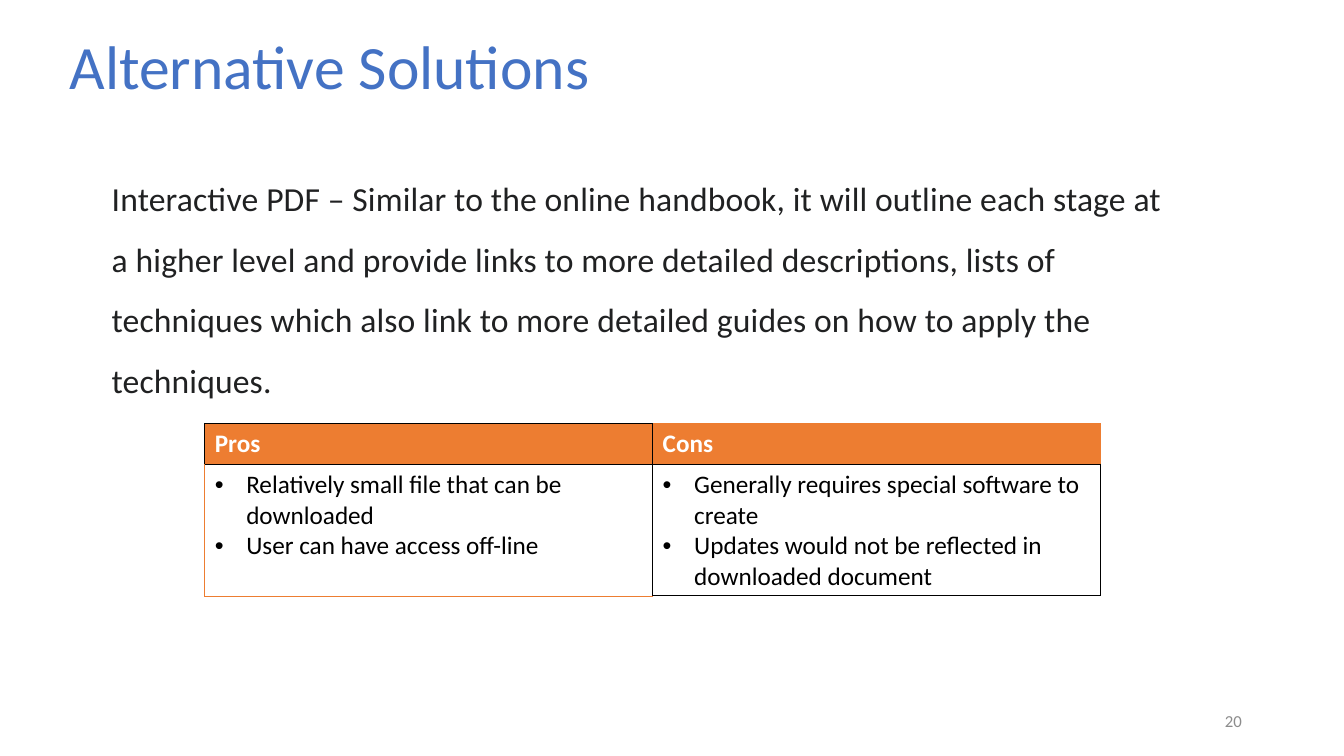
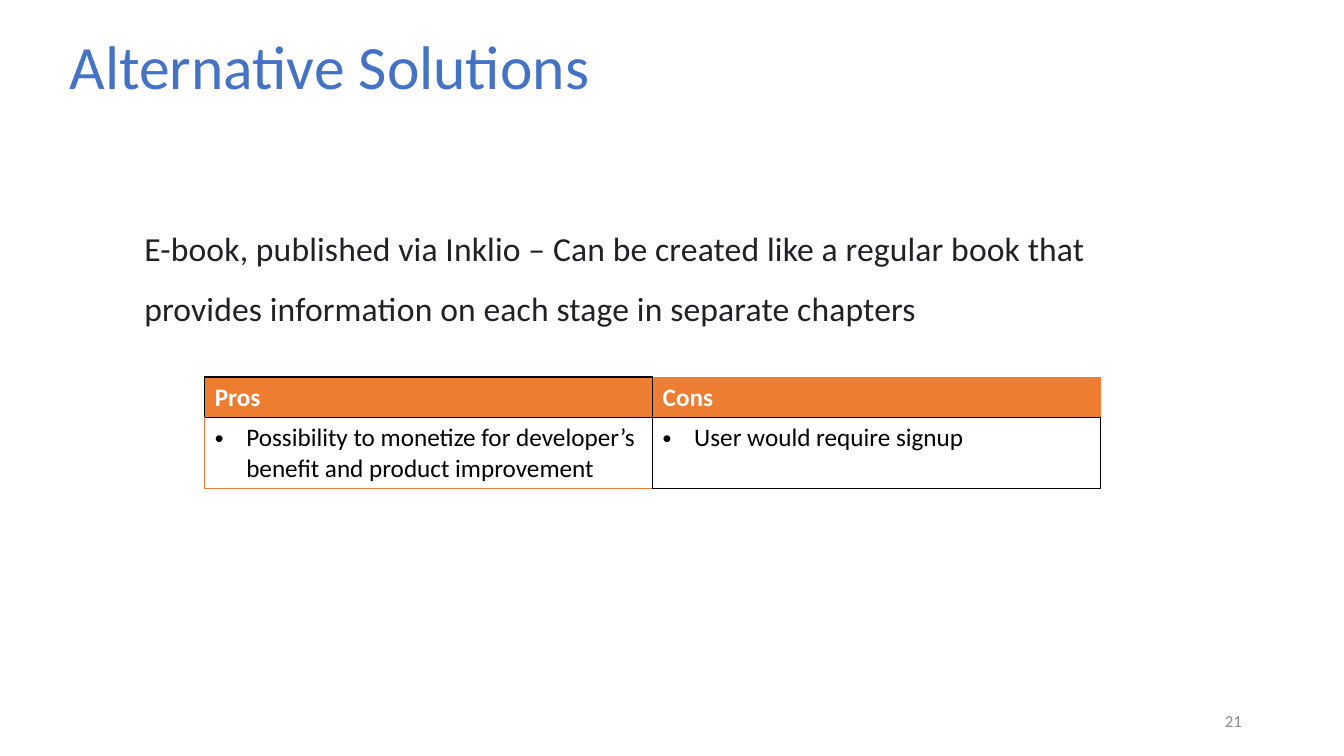
"""Build two slides that weigh alternative solutions in pros and cons tables."""
import pptx
import pptx.dml.color
import pptx.enum.text
import pptx.oxml.ns
import pptx.util
from lxml import etree

Pt = pptx.util.Pt
RGB = pptx.dml.color.RGBColor
ALIGN = pptx.enum.text.PP_ALIGN
ANCHOR = pptx.enum.text.MSO_ANCHOR
qn = pptx.oxml.ns.qn

BLUE = RGB(0x44, 0x72, 0xC4)
ORANGE = RGB(0xED, 0x7D, 0x31)
INK = RGB(0x20, 0x21, 0x22)
GREY = RGB(0x8C, 0x8C, 0x8C)
BLACK = RGB(0, 0, 0)
WHITE = RGB(255, 255, 255)
FONT = "Calibri"

TITLE = "Alternative Solutions"
HEADERS = ("Pros", "Cons")
SLIDES = [
    {
        "number": "20",
        "text": "Interactive PDF – Similar to the online handbook, it will outline each stage at "
                "a higher level and provide links to more detailed descriptions, lists of "
                "techniques which also link to more detailed guides on how to apply the techniques.",
        "text_box": (72.7, 109.4, 768, 212.4),
        "points": (
            ("Relatively small file that can be downloaded", "User can have access off-line"),
            ("Generally requires special software to create",
             "Updates would not be reflected in downloaded document"),
        ),
        "table_top": 302.4,
        "body_height": 94,
    },
    {
        "number": "21",
        "text": "E-book, published via Inklio – Can be created like a regular book that "
                "provides information on each stage in separate chapters",
        "text_box": (96, 144.7, 768, 125.3),
        "points": (
            ("Possibility to monetize for developer’s benefit and product improvement",),
            ("User would require signup",),
        ),
        "table_top": 269.3,
        "body_height": 50.6,
    },
]

TITLE_BOX = (42.5, 20.2, 828, 58.3)
NUMBER_BOX = (678.2, 500.4, 216, 28.8)
TABLE_LEFT, COLUMN_WIDTH, HEADER_HEIGHT = 146.2, 320, 29.2
BULLET_INDENT = 22.5

TITLE_FONT = {"size": Pt(44), "name": FONT, "bold": False}
BODY_FONT = {"size": Pt(24), "name": FONT}
NUMBER_FONT = {"size": Pt(12), "name": FONT}
HEADER_FONT = {"size": Pt(18), "name": FONT, "bold": True}
POINT_FONT = {"size": Pt(18), "name": FONT, "bold": False}

SOLID, ACCENT = (BLACK, 1), (ORANGE, 0.5)
BOXED = {"L": SOLID, "R": SOLID, "T": SOLID, "B": SOLID}
HEADER_EDGES = (BOXED, {"L": SOLID, "R": ACCENT, "T": ACCENT, "B": SOLID})
BODY_EDGES = ({"L": ACCENT, "R": SOLID, "T": SOLID, "B": ACCENT}, BOXED)


def write(p, text, font, color, **paragraph_format):
    """Put formatted text in a paragraph and return its run."""
    for key, value in paragraph_format.items():
        setattr(p, key, value)
    r = p.add_run()
    r.text = text
    for key, value in font.items():
        setattr(r.font, key, value)
    r.font.color.rgb = color
    return r


def place(sp, box):
    """Set the position and size of a shape in points."""
    for key, value in zip(("left", "top", "width", "height"), box):
        setattr(sp, key, Pt(value))


def add_text(s, box, anchor):
    """Add a wrapping text box and return its first paragraph."""
    tf = s.shapes.add_textbox(*map(Pt, box)).text_frame
    tf.word_wrap = True
    tf.vertical_anchor = anchor
    return tf.paragraphs[0]


def set_borders(cell, edges):
    """Draw the four borders of a cell."""
    tc_pr = cell._tc.get_or_add_tcPr()
    for side, (color, width) in edges.items():
        ln = etree.SubElement(tc_pr, qn(f"a:ln{side}"), w=str(Pt(width)))
        fill = etree.SubElement(ln, qn("a:solidFill"))
        etree.SubElement(fill, qn("a:srgbClr"), val=str(color))


def set_bullet(p):
    """Give a paragraph a hanging bullet."""
    p_pr = p._p.get_or_add_pPr()
    p_pr.set("marL", str(Pt(BULLET_INDENT)))
    p_pr.set("indent", str(-Pt(BULLET_INDENT)))
    etree.SubElement(p_pr, qn("a:buFont"), typeface="Arial")
    etree.SubElement(p_pr, qn("a:buChar"), char="•")


def add_pros_cons(s, top, body_height, points):
    """Add the table with a header row and a row of bulleted points."""
    columns = len(HEADERS)
    frame = s.shapes.add_table(2, columns, Pt(TABLE_LEFT), Pt(top),
                               Pt(COLUMN_WIDTH * columns), Pt(HEADER_HEIGHT + body_height))
    table = frame.table
    table.first_row = table.horz_banding = False
    for row, height in zip(table.rows, (HEADER_HEIGHT, body_height)):
        row.height = Pt(height)
    for i, header in enumerate(HEADERS):
        table.columns[i].width = Pt(COLUMN_WIDTH)
        head, body = table.cell(0, i), table.cell(1, i)
        set_borders(head, HEADER_EDGES[i])
        set_borders(body, BODY_EDGES[i])
        head.fill.solid()
        head.fill.fore_color.rgb = ORANGE
        body.fill.background()
        write(head.text_frame.paragraphs[0], header, HEADER_FONT, WHITE)
        tf = body.text_frame
        for j, point in enumerate(points[i]):
            p = tf.add_paragraph() if j else tf.paragraphs[0]
            set_bullet(p)
            write(p, point, POINT_FONT, BLACK)


def add_slide(prs, content):
    """Add one slide with its title, text, table and number."""
    s = prs.slides.add_slide(prs.slide_layouts[5])
    title = s.shapes.title
    place(title, TITLE_BOX)
    title.text_frame.vertical_anchor = ANCHOR.MIDDLE
    write(title.text_frame.paragraphs[0], TITLE, TITLE_FONT, BLUE,
          alignment=ALIGN.LEFT, line_spacing=0.9)
    write(add_text(s, NUMBER_BOX, ANCHOR.MIDDLE), content["number"], NUMBER_FONT, GREY,
          alignment=ALIGN.RIGHT)
    r = write(add_text(s, content["text_box"], ANCHOR.TOP), content["text"], BODY_FONT, INK,
              line_spacing=1.5, space_after=Pt(8))
    r._r.get_or_add_rPr().set("spc", "10")
    add_pros_cons(s, content["table_top"], content["body_height"], content["points"])


def main():
    """Build and save the presentation."""
    prs = pptx.Presentation()
    prs.slide_width, prs.slide_height = Pt(960), Pt(540)
    for content in SLIDES:
        add_slide(prs, content)
    prs.save("out.pptx")


if __name__ == "__main__":
    main()
